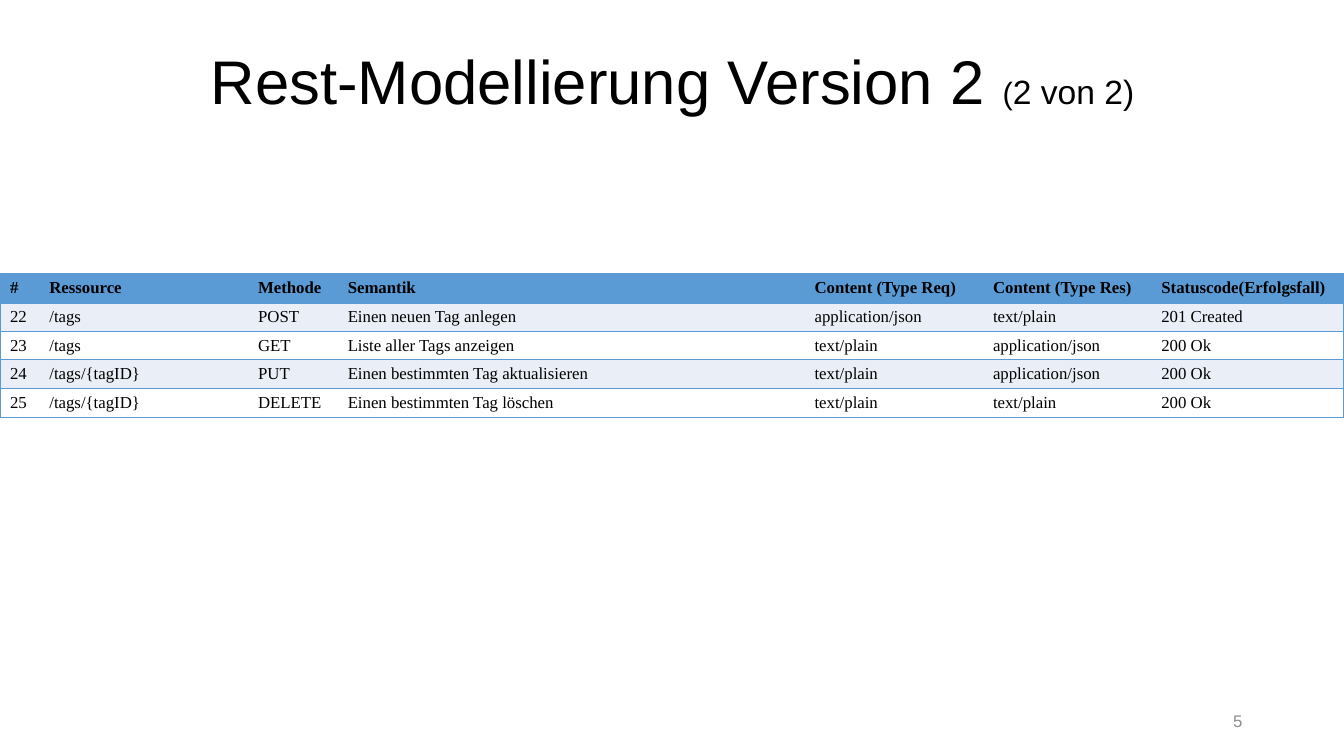
from dataclasses import dataclass
from lxml.etree import SubElement
from pptx import Presentation
from pptx.dml.color import RGBColor as RGB
from pptx.enum.text import MSO_ANCHOR as Anchor, MSO_AUTO_SIZE as Fit, PP_ALIGN as Align
from pptx.oxml.ns import qn
from pptx.util import Inches, Pt


@dataclass(frozen=True)
class Theme:
    sans: str = "Arial"
    serif: str = "Times New Roman"
    ink: str = "000000"
    grey: str = "8C8C8C"
    blue: str = "5B9BD5"
    pale: str = "EAEFF7"
    white: str = "FFFFFF"
    title: int = 44
    bracket: int = 22
    count: int = 24
    body: int = 12
    thin: int = 1
    thick: int = 3


THEME = Theme()

TITLE = [
    ("Rest-Modellierung Version 2 ", THEME.title),
    ("(", THEME.bracket),
    ("2 von 2)", THEME.count),
]
WIDTHS = [0.39, 2.07, 0.89, 4.63, 1.77, 1.67, 1.91]
JSON, PLAIN = "application/json", "text/plain"
ROWS = [
    ["#", "Ressource", "Methode", "Semantik",
     "Content (Type Req)", "Content (Type Res)", "Statuscode(Erfolgsfall)"],
    ["22", "/tags", "POST", "Einen neuen Tag anlegen", JSON, PLAIN, "201 Created"],
    ["23", "/tags", "GET", "Liste aller Tags anzeigen", PLAIN, JSON, "200 Ok"],
    ["24", "/tags/{tagID}", "PUT", "Einen bestimmten Tag aktualisieren",
     PLAIN, JSON, "200 Ok"],
    ["25", "/tags/{tagID}", "DELETE", "Einen bestimmten Tag löschen",
     PLAIN, PLAIN, "200 Ok"],
]


def put(item, **values):
    for name, value in values.items():
        setattr(item, name, value)


def add_run(para, text, size, face, color, bold=False):
    run = para.add_run()
    run.text = text
    put(run.font, size=Pt(size), name=face, bold=bold)
    run.font.color.rgb = RGB.from_string(color)


def add_title(slide):
    title = slide.shapes.title
    put(title, left=Inches(0.92), top=Inches(0.11),
        width=Inches(11.5), height=Inches(1.45))
    frame = title.text_frame
    put(frame, vertical_anchor=Anchor.MIDDLE, auto_size=Fit.NONE, word_wrap=True)
    para = frame.paragraphs[0]
    put(para, alignment=Align.CENTER, line_spacing=0.9)
    for text, size in TITLE:
        add_run(para, text, size, THEME.sans, THEME.ink)


def add_edge(cell, side, width):
    # A width of zero hides the edge
    props = cell._tc.get_or_add_tcPr()
    line = SubElement(props, qn(f"a:ln{side}"), w=str(Pt(width)))
    if width:
        fill = SubElement(line, qn("a:solidFill"))
        SubElement(fill, qn("a:srgbClr"), val=THEME.blue)
    else:
        SubElement(line, qn("a:noFill"))


def fill_cell(cell, text, row, col):
    head = row == 0
    # Edges come before the fill
    edges = {
        "L": THEME.thin if col == 0 else 0,
        "R": THEME.thin if col == len(WIDTHS) - 1 else 0,
        "T": THEME.thick if row == 1 else THEME.thin,
        "B": THEME.thick if head else THEME.thin,
    }
    for side, width in edges.items():
        add_edge(cell, side, width)
    color = THEME.blue if head else THEME.pale if row % 2 else THEME.white
    cell.fill.solid()
    cell.fill.fore_color.rgb = RGB.from_string(color)
    cell.vertical_anchor = Anchor.MIDDLE
    para = cell.text_frame.paragraphs[0]
    add_run(para, text, THEME.body, THEME.serif, THEME.ink, head)


def add_grid(slide):
    grid = slide.shapes.add_table(
        len(ROWS), len(WIDTHS), Inches(0), Inches(2.71),
        Inches(sum(WIDTHS)), Inches(1.41)).table
    grid.horz_banding = False
    for col, width in zip(grid.columns, WIDTHS):
        col.width = Inches(width)
    for row, texts in enumerate(ROWS):
        grid.rows[row].height = Inches(0.28 if row else 0.29)
        for col, text in enumerate(texts):
            fill_cell(grid.cell(row, col), text, row, col)


def add_page(slide, text):
    box = slide.shapes.add_textbox(
        Inches(9.42), Inches(6.95), Inches(3), Inches(0.4))
    frame = box.text_frame
    put(frame, word_wrap=True, vertical_anchor=Anchor.MIDDLE)
    para = frame.paragraphs[0]
    para.alignment = Align.RIGHT
    add_run(para, text, THEME.body, THEME.sans, THEME.grey)


def main():
    deck = Presentation()
    put(deck, slide_width=Inches(13.33), slide_height=Inches(7.5))
    slide = deck.slides.add_slide(deck.slide_layouts[5])
    add_title(slide)
    add_grid(slide)
    add_page(slide, "5")
    deck.save("out.pptx")


if __name__ == "__main__":
    main()
